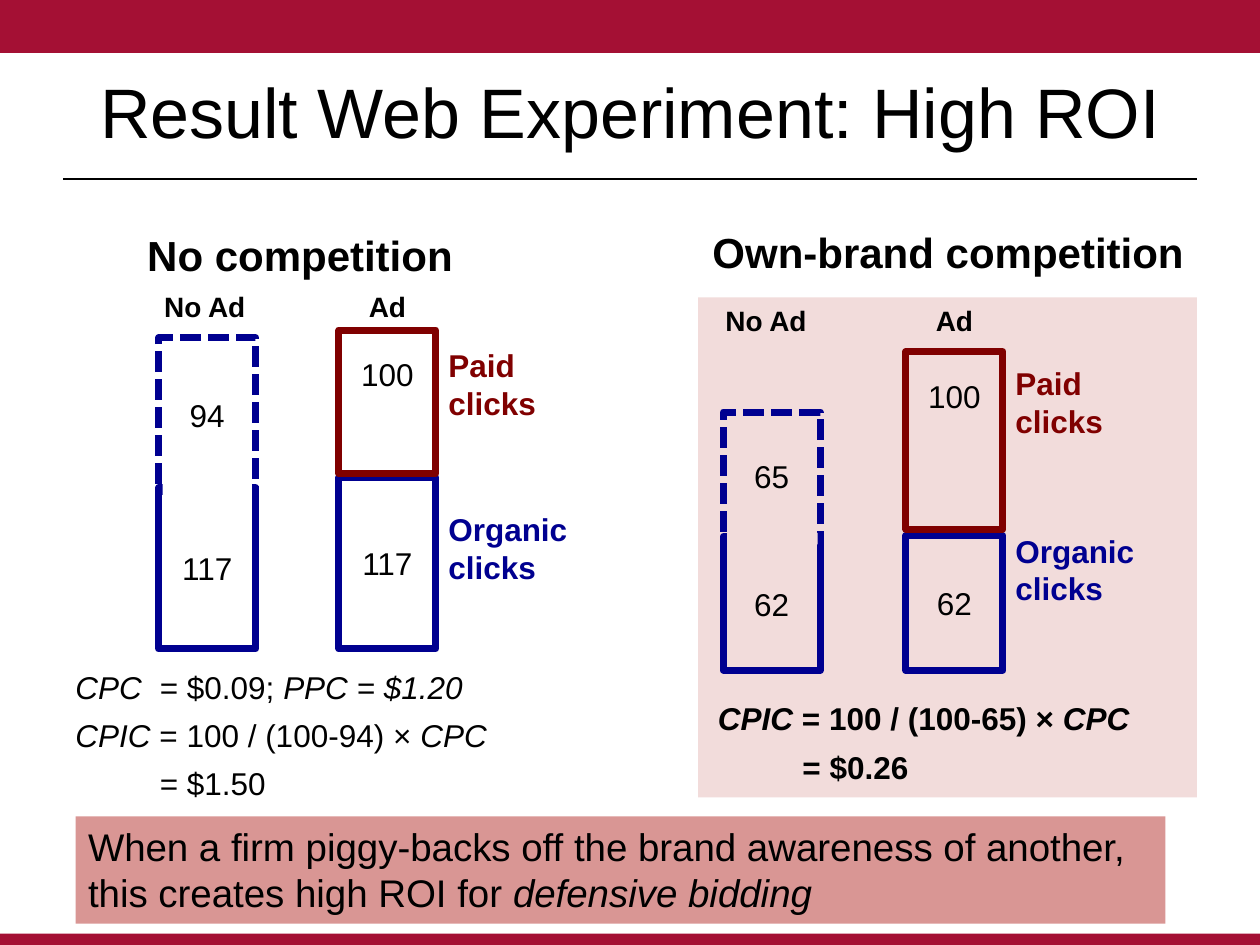
"""Build the slide comparing ad results with and without own-brand competition."""
from dataclasses import dataclass
from typing import NamedTuple, Optional

import lxml.etree
import pptx
import pptx.dml.color
import pptx.enum.dml
import pptx.enum.shapes
import pptx.enum.text
import pptx.oxml.ns
import pptx.util

Inches = pptx.util.Inches
Pt = pptx.util.Pt
Align = pptx.enum.text.PP_ALIGN
Anchor = pptx.enum.text.MSO_ANCHOR
Rgb = pptx.dml.color.RGBColor.from_string


@dataclass(frozen=True)
class Theme:
    """Colours, type sizes and line widths of the slide."""
    font: str = "Arial"
    ink: str = "000000"
    paper: str = "FFFFFF"
    crimson: str = "A41034"
    paid: str = "800000"
    organic: str = "000090"
    tint: str = "F2DCDB"
    callout: str = "D99694"
    title_size: float = 40
    heading_size: float = 24
    callout_size: float = 22
    body_size: float = 18
    label_size: float = 16
    bar_line: float = 4
    rule_line: float = 1.25


class Area(NamedTuple):
    """Left, top, width and height in inches."""
    left: float
    top: float
    width: float
    height: float

    def lengths(self) -> list:
        """Return the four measures as lengths."""
        return [Inches(value) for value in self]


class Span(NamedTuple):
    """A stretch of text in one style."""
    text: str
    italic: bool = False


class Line(NamedTuple):
    """A paragraph with an optional indent or tab stop in inches."""
    spans: tuple
    indent: float = 0
    tab: float = 0


class Bar(NamedTuple):
    """One bar segment, placed vertically."""
    value: int
    top: float
    height: float


@dataclass(frozen=True)
class Panel:
    """One competition case with its bars, labels and cost formula."""
    heading: str
    heading_area: Area
    heading_align: Align
    background: str
    no_ad_left: float
    ad_left: float
    label_top: float
    no_ad_label: Area
    dashed: Bar
    base: Bar
    seam: Area
    paid: Bar
    organic: Bar
    paid_label_top: float
    organic_label_top: float
    formula_area: Area
    formula: tuple
    formula_bold: bool = False
    backdrop: Optional[Area] = None


THEME = Theme()
BAR_WIDTH = 0.77
EQUALS_AT = 0.67

PANELS = (
    Panel("No competition", Area(1.07, 1.77, 2.84, 0.44), Align.LEFT, THEME.paper,
          1.26, 2.69, 2.25, Area(1.17, 2.25, 0.91, 0.37),
          Bar(94, 2.68, 1.22), Bar(117, 3.87, 1.28), Area(1.29, 3.8, 0.71, 0.2),
          Bar(100, 2.62, 1.14), Bar(117, 3.79, 1.36), 2.7, 4,
          Area(0.5, 5.25, 3.5, 1.15),
          (Line((Span("CPC\t", True), Span("= $0.09; "), Span("PPC = $1.20", True)),
                tab=EQUALS_AT),
           Line((Span("CPIC ", True), Span("= 100 / (100-94) × "), Span("CPC", True))),
           Line((Span("= $1.50"),), EQUALS_AT))),
    Panel("Own-brand competition", Area(5.55, 1.75, 3.95, 0.44), Align.CENTER, THEME.tint,
          5.74, 7.19, 2.36, Area(5.65, 2.36, 0.86, 0.37),
          Bar(65, 3.27, 1.01), Bar(62, 4.26, 1.06), Area(5.77, 4.23, 0.72, 0.09),
          Bar(100, 2.79, 1.41), Bar(62, 4.25, 1.07), 2.84, 4.17,
          Area(5.6, 5.5, 3.9, 0.71),
          (Line((Span("CPIC ", True), Span("= 100 / (100-65) × "), Span("CPC", True))),
           Line((Span("= $0.26"),), EQUALS_AT)),
          True, Area(5.54, 2.36, 3.96, 3.97)),
)


def plain(text: str) -> tuple:
    """Return text as a single upright line."""
    return (Line((Span(text),)),)


def apply(target, formats: dict) -> None:
    """Set each format value on the target."""
    for name, value in formats.items():
        setattr(target, name, value)


def write(shape, lines: tuple, size: float, color: str = THEME.ink, bold: bool = False,
          align: Align = Align.LEFT, anchor: Anchor = Anchor.TOP,
          spacing: Optional[float] = None, wrap: bool = True) -> None:
    """Fill a shape with formatted lines."""
    frame = shape.text_frame
    apply(frame, {"word_wrap": wrap, "vertical_anchor": anchor})
    for index, line in enumerate(lines):
        paragraph = frame.add_paragraph() if index else frame.paragraphs[0]
        properties = paragraph._p.get_or_add_pPr()
        if line.indent:
            properties.set("marL", str(Inches(line.indent)))
        if line.tab:
            stops = lxml.etree.SubElement(properties, pptx.oxml.ns.qn("a:tabLst"))
            lxml.etree.SubElement(stops, pptx.oxml.ns.qn("a:tab"),
                                  pos=str(Inches(line.tab)), algn="l")
        apply(paragraph, {"alignment": align, "line_spacing": spacing,
                          "space_before": Pt(6 if index else 0)})
        for span in line.spans:
            for position, piece in enumerate(span.text.split("\n")):
                if position:
                    paragraph.add_line_break()
                run = paragraph.add_run()
                run.text = piece
                apply(run.font, {"name": THEME.font, "size": Pt(size), "bold": bold,
                                 "italic": span.italic})
                run.font.color.rgb = Rgb(color)


def add_text(slide, area: Area, lines: tuple, size: float, **formats) -> None:
    """Add a text box."""
    write(slide.shapes.add_textbox(*area.lengths()), lines, size, **formats)


def add_block(slide, area: Area, fill: Optional[str] = None, outline: Optional[str] = None):
    """Add a rectangle with an optional fill and outline."""
    block = slide.shapes.add_shape(pptx.enum.shapes.MSO_SHAPE.RECTANGLE, *area.lengths())
    block.shadow.inherit = False
    for paint, color in ((block.fill, fill), (block.line.fill, outline)):
        if color:
            paint.solid()
            paint.fore_color.rgb = Rgb(color)
        else:
            paint.background()
    return block


def add_bar(slide, left: float, bar: Bar, color: str, dashed: bool = False, **formats) -> None:
    """Add one outlined bar with its click count."""
    block = add_block(slide, Area(left, bar.top, BAR_WIDTH, bar.height), outline=color)
    block.line.width = Pt(THEME.bar_line)
    if dashed:
        block.line.dash_style = pptx.enum.dml.MSO_LINE.SQUARE_DOT
    write(block, plain(str(bar.value)), THEME.body_size,
          **{"align": Align.CENTER, "anchor": Anchor.MIDDLE, **formats})


def add_panel(slide, panel: Panel) -> None:
    """Add one competition case."""
    if panel.backdrop:
        add_block(slide, panel.backdrop, panel.background)
    add_text(slide, panel.heading_area, plain(panel.heading), THEME.heading_size, bold=True,
             align=panel.heading_align, wrap=panel.heading_align == Align.LEFT)
    add_bar(slide, panel.ad_left, panel.organic, THEME.organic)
    add_bar(slide, panel.ad_left, panel.paid, THEME.paid, anchor=Anchor.TOP, spacing=1.5)
    add_bar(slide, panel.no_ad_left, panel.dashed, THEME.organic, dashed=True)
    add_bar(slide, panel.no_ad_left, panel.base, THEME.organic)
    add_block(slide, panel.seam, panel.background)
    for kind, top, color in (("Paid", panel.paid_label_top, THEME.paid),
                             ("Organic", panel.organic_label_top, THEME.organic)):
        add_text(slide, Area(panel.ad_left + BAR_WIDTH, top, 1.25, 0.71),
                 plain(f"{kind} \nclicks"), THEME.body_size, color=color, bold=True)
    ad_label = Area(panel.ad_left, panel.label_top, BAR_WIDTH, 0.37)
    for label, area in (("No Ad", panel.no_ad_label), ("Ad", ad_label)):
        add_text(slide, area, plain(label), THEME.label_size, bold=True,
                 align=Align.CENTER, wrap=False)
    add_text(slide, panel.formula_area, panel.formula, THEME.body_size,
             bold=panel.formula_bold)


def add_frame(slide) -> None:
    """Add the title, its rule and the two edge bands."""
    for band in (Area(0, 0, 10, 0.42), Area(0, 7.41, 10, 0.09)):
        add_block(slide, band, THEME.crimson)
    rule = slide.shapes.add_connector(pptx.enum.shapes.MSO_CONNECTOR.STRAIGHT,
                                      *Area(0.5, 1.42, 9.5, 1.42).lengths())
    rule.line.color.rgb = Rgb(THEME.ink)
    rule.line.width = Pt(THEME.rule_line)
    lxml.etree.SubElement(rule._element.spPr, pptx.oxml.ns.qn("a:effectLst"))
    title = slide.shapes.title
    apply(title, dict(zip(("left", "top", "width", "height"),
                          Area(0.5, 0.25, 9, 1.25).lengths())))
    write(title, plain("Result Web Experiment: High ROI"), THEME.title_size,
          align=Align.CENTER, anchor=Anchor.MIDDLE)


def main() -> None:
    """Build and save the slide."""
    deck = pptx.Presentation()
    apply(deck, {"slide_width": Inches(10), "slide_height": Inches(7.5)})
    slide = deck.slides.add_slide(deck.slide_layouts[5])
    add_frame(slide)
    takeaway = add_block(slide, Area(0.6, 6.48, 8.65, 0.85), THEME.callout)
    write(takeaway, (Line((Span("When a firm piggy-backs off the brand awareness of another, "
                                "this creates high ROI for "),
                           Span("defensive bidding", True))),), THEME.callout_size)
    for panel in PANELS:
        add_panel(slide, panel)
    deck.save("out.pptx")


if __name__ == "__main__":
    main()
